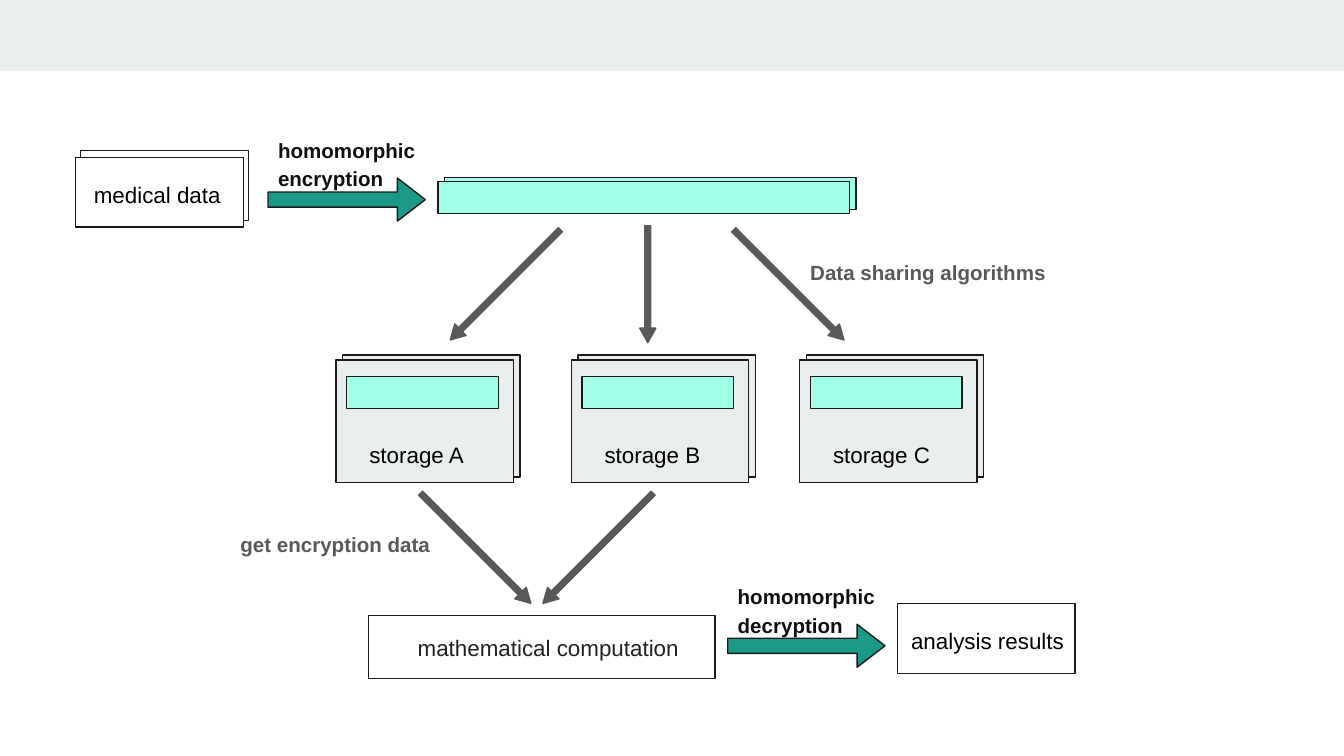
"""Builds a slide showing homomorphic encryption of shared medical data."""
from pptx import Presentation
from pptx.dml.color import RGBColor
from pptx.enum.shapes import MSO_SHAPE
from pptx.enum.text import MSO_AUTO_SIZE
from pptx.util import Emu, Pt

PX = 9144
SLIDE_W = 1000
INK, GRAY, TEAL, MINT, PALE, WHITE = "1A1A1A", "595959", "1A9988", "A2FFE8", "E9EDEE", "FFFFFF"

STORAGES = [("storage A", 250), ("storage B", 425), ("storage C", 595)]
STORAGE_Y = 268
SHEETS = [
    ((56, 117, 125, 52), WHITE, (4, -5)),
    ((326, 135, 306, 24), MINT, (5, -3)),
]
BOXES = [(274, 458, 258, 47), (668, 449, 132, 52)]
STEPS = [("homomorphic encryption", 197, 90), ("homomorphic decryption", 539, 422)]
FLOWS = [
    ((370, 154, 12, 116), 45),
    ((476, 168, 12, 87), 0),
    ((581, 154, 12, 116), 315),
    ((348, 350, 12, 116), 315),
    ((439, 350, 12, 116), 45),
]
LABELS = [
    ("medical data", (60, 125, 116, 40), "000000"),
    ("mathematical computation", (301, 462, 227, 40), "202124"),
    ("analysis results", (668, 457, 148, 40), "000000"),
]
NOTES = [
    ("Data sharing algorithms", (593, 181, 418, 39)),
    ("get encryption data", (169, 383, 293, 39)),
]

prs = Presentation()
prs.slide_width = Emu(SLIDE_W * PX)
prs.slide_height = Emu(SLIDE_W * PX * 9 // 16)
s = prs.slides.add_slide(prs.slide_layouts[6])


def rgb(value):
    return RGBColor.from_string(value)


def add_shape(kind, box, fill, line=INK):
    sp = s.shapes.add_shape(kind, *(Emu(v * PX) for v in box))
    sp.shadow.inherit = False
    sp.fill.solid()
    sp.fill.fore_color.rgb = rgb(fill)
    if line:
        sp.line.color.rgb = rgb(line)
        sp.line.width = Pt(0.75)
    else:
        sp.line.fill.background()
    return sp


def add_rect(box, fill, line=INK):
    return add_shape(MSO_SHAPE.RECTANGLE, box, fill, line)


def add_stack(box, fill, offset):
    x, y, w, h = box
    add_rect((x + offset[0], y + offset[1], w, h), fill)
    add_rect(box, fill)


def add_arrow(box, rotation, head, fill, line):
    sp = add_shape(MSO_SHAPE.DOWN_ARROW, box, fill, line)
    sp.adjustments[0], sp.adjustments[1] = 0.353, head
    sp.rotation = rotation


def add_text(text, box, size=12, color="000000", bold=False, spacing=None):
    tf = s.shapes.add_textbox(*(Emu(v * PX) for v in box)).text_frame
    tf.word_wrap = True
    tf.auto_size = MSO_AUTO_SIZE.SHAPE_TO_FIT_TEXT
    tf.margin_left = tf.margin_right = tf.margin_top = tf.margin_bottom = Emu(10 * PX)
    p = tf.paragraphs[0]
    p.line_spacing = spacing
    r = p.add_run()
    r.text = text
    r.font.name, r.font.size, r.font.bold = "Arial", Pt(size), bold
    r.font.color.rgb = rgb(color)


add_rect((0, 0, SLIDE_W, 53), PALE, None)

for box, fill, offset in SHEETS:
    add_stack(box, fill, offset)

for name, x in STORAGES:
    add_stack((x, STORAGE_Y, 132, 91), PALE, (5, -4))
    add_rect((x + 8, STORAGE_Y + 12, 113, 24), MINT)
    add_text(name, (x + 15, STORAGE_Y + 50, 116, 40))

for box in BOXES:
    add_rect(box, WHITE)

for box, rotation in FLOWS:
    add_arrow(box, rotation, 0.896, GRAY, GRAY)

for text, x, y in STEPS:
    add_arrow((x + 45, y, 32, 117), 270, 0.648, TEAL, INK)
    add_text(text, (x, y, 132, 60), size=11, color="0F0F0F", bold=True, spacing=1.15)

for text, box, color in LABELS:
    add_text(text, box, color=color)

for text, box in NOTES:
    add_text(text, box, size=11, color=GRAY, bold=True, spacing=1.15)

prs.save("out.pptx")
